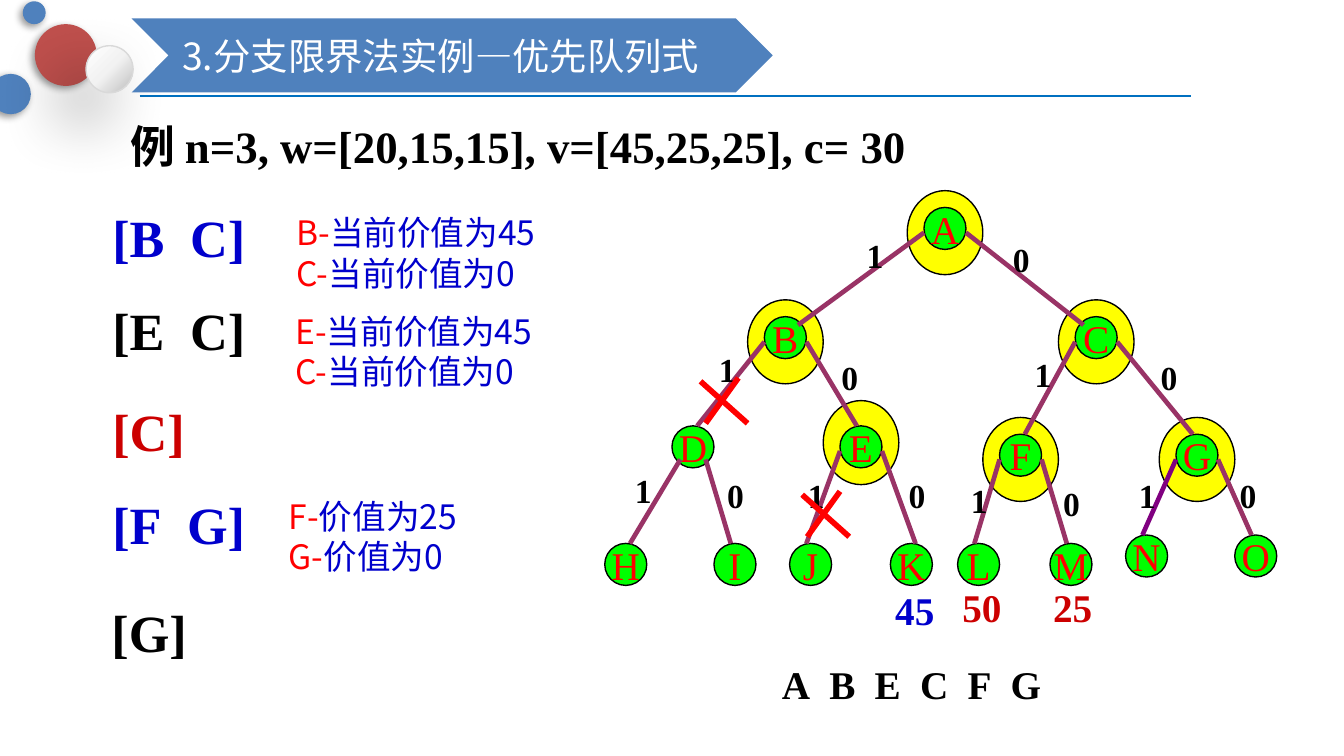
from typing import NamedTuple, Optional

from lxml import etree
from pptx import Presentation
from pptx.dml.color import RGBColor
from pptx.enum import shapes, text
from pptx.oxml import ns
from pptx import util as u

UNIT = 0.0625
LATIN = "Times New Roman"
HAN = "Noto Sans CJK SC"
BLACK = RGBColor(0x00, 0x00, 0x00)
WHITE = RGBColor(0xFF, 0xFF, 0xFF)
RED = RGBColor(0xFF, 0x00, 0x00)
CRIMSON = RGBColor(0xCC, 0x00, 0x00)
BRICK = RGBColor(0xC0, 0x50, 0x4D)
BLUE = RGBColor(0x00, 0x00, 0xCC)
STEEL = RGBColor(0x4F, 0x81, 0xBD)
RULE = RGBColor(0x00, 0x70, 0xC0)
GREEN = RGBColor(0x00, 0xFF, 0x00)
YELLOW = RGBColor(0xFF, 0xFF, 0x00)
PLUM = RGBColor(0x99, 0x33, 0x66)
PURPLE = RGBColor(0x80, 0x00, 0x80)
SILVER = RGBColor(0xD9, 0xD9, 0xD9)


class Node(NamedTuple):
    name: str
    col: float
    row: float
    halo: float = 0
    start: tuple = (0, 5, 3)


class Edge(NamedTuple):
    top: str
    end: str
    bit: int
    land: tuple
    tag: tuple
    color: RGBColor = PLUM


class Ball(NamedTuple):
    col: float
    row: float
    size: float
    fill: Optional[RGBColor]
    blur: float = 4
    dist: float = 2


class Note(NamedTuple):
    words: str
    col: float
    row: float
    wide: float
    size: float
    color: RGBColor


NODES = {n.name: n for n in (
    Node("A", 110, 24.7, 2), Node("B", 91, 37.7, 2), Node("C", 128, 37.7, 2),
    Node("D", 80, 50.7, start=(1, 4, 4)), Node("E", 100, 50.7, 3),
    Node("F", 119, 51.7, 2), Node("G", 140, 51.7, 2),
    Node("H", 72, 64.7), Node("I", 85, 64.7), Node("J", 94, 64.7),
    Node("K", 106, 64.7), Node("L", 114, 64.7), Node("M", 125, 64.7),
    Node("N", 134, 63.7), Node("O", 147, 63.7))}
EDGES = (
    Edge("A", "B", 1, (4, 1), (101.6, 27.2)),
    Edge("A", "C", 0, (1, 1), (119, 27.7)),
    Edge("B", "D", 1, (3, 0), (84, 40.7)),
    Edge("B", "E", 0, (2, 0), (98.6, 41.7)),
    Edge("C", "F", 1, (3, 0), (121.6, 41.3)),
    Edge("C", "G", 0, (2, 0), (136.6, 41.7)),
    Edge("D", "H", 1, (3, 0), (74, 55.2)),
    Edge("D", "I", 0, (2, 0), (85, 55.7)),
    Edge("E", "J", 1, (2, 0), (94.6, 55.7)),
    Edge("E", "K", 0, (3, 0), (106.6, 55.7)),
    Edge("F", "L", 1, (2, 0), (114, 56.3)),
    Edge("F", "M", 0, (2, 0), (125, 56.7)),
    Edge("G", "N", 1, (2, 0), (134, 55.7), PURPLE),
    Edge("G", "O", 0, (2, 0), (146, 55.7)))
BALLS = (Ball(4.16, 2.88, 7.36, BRICK), Ball(-1.12, 8.8, 4.8, STEEL),
         Ball(10.24, 5.44, 5.6, None, 35, 20), Ball(2.72, 0.16, 2.72, STEEL))
NOTES = (
    Note("[B C]", 11.8, 23.7, 19.6, 28, BLUE),
    Note("[E C]", 11.8, 34.7, 19.6, 28, BLACK),
    Note("[C]", 11.8, 46.7, 12, 28, CRIMSON),
    Note("[F G]", 11.8, 57.8, 19.6, 28, BLUE),
    Note("[G]", 11.7, 70.7, 12.3, 28, BLACK),
    Note("45", 105, 69, 8, 21, BLUE),
    Note("50", 113, 68.6, 8, 21, CRIMSON),
    Note("25", 123.8, 68.6, 8, 21, CRIMSON),
    Note("A B E C F G", 91.5, 77.8, 35, 21, BLACK))
VALUES = (
    (33.7, 24.5, (("B-", "当前价值为45"), ("C-", "当前价值为0"))),
    (33.6, 36.2, (("E-", "当前价值为45"), ("C-", "当前价值为0"))),
    (32.8, 58.2, (("F-", "价值为25"), ("G-", "价值为0"))))


def grid(n: float) -> int:
    return u.Inches(n * UNIT)


def add(parent, tag: str, **attrs):
    return etree.SubElement(parent, ns.qn(tag), attrs)


def write(para, words: str, *, size: float, color: RGBColor,
          font: str = LATIN, bold: bool = False, gap: float = 0) -> None:
    run = para.add_run()
    run.text = words
    run.font.size = u.Pt(size)
    run.font.bold = bold
    run.font.color.rgb = color
    run.font.name = font
    props = run.font._element
    add(props, "a:ea", typeface=font)
    if gap:
        props.set("spc", str(int(gap * 100)))


def box(page, col: float, row: float, wide: float, high: float,
        wrap: bool = False):
    frame = page.shapes.add_textbox(
        grid(col), grid(row), grid(wide), grid(high)).text_frame
    frame.word_wrap = wrap
    frame.auto_size = text.MSO_AUTO_SIZE.SHAPE_TO_FIT_TEXT
    return frame


def oval(page, col: float, row: float, wide: float, high: float,
         fill: Optional[RGBColor], edge: Optional[RGBColor] = BLACK):
    disc = page.shapes.add_shape(shapes.MSO_SHAPE.OVAL, grid(col), grid(row),
                                 grid(wide), grid(high))
    disc.shadow.inherit = False
    if fill is not None:
        disc.fill.solid()
        disc.fill.fore_color.rgb = fill
    if edge is None:
        disc.line.fill.background()
    else:
        disc.line.color.rgb = edge
        disc.line.width = u.Pt(0.75)
    return disc


def link(host, start: tuple, end: tuple, color: RGBColor, width: float) -> None:
    line = host.add_connector(shapes.MSO_CONNECTOR.STRAIGHT,
                              *(grid(n) for n in start + end))
    line.line.color.rgb = color
    line.line.width = u.Pt(width)
    add(line._element.spPr, "a:effectLst")


def draw_ball(page, ball: Ball) -> None:
    disc = oval(page, ball.col, ball.row, ball.size, ball.size, ball.fill,
                SILVER if ball.fill is None else None)
    props = disc._element.spPr
    if ball.fill is None:
        blend = etree.Element(ns.qn("a:gradFill"))
        stops = add(blend, "a:gsLst")
        for pos, tone in ((0, "FFFFFF"), (50, "F2F2F2"), (100, "BFBFBF")):
            add(add(stops, "a:gs", pos=str(pos * 1000)), "a:srgbClr", val=tone)
        add(blend, "a:lin", ang=str(45 * 60000), scaled="0")
        props.insert(2, blend)
    cast = add(props.find(ns.qn("a:effectLst")), "a:outerShdw",
               blurRad=str(u.Pt(ball.blur)), dist=str(u.Pt(ball.dist)),
               dir=str(135 * 60000), algn="ctr", rotWithShape="0")
    add(add(cast, "a:srgbClr", val="000000"), "a:alpha", val="40000")


def draw_node(page, node: Node) -> None:
    frame = oval(page, node.col, node.row, 5, 5, GREEN).text_frame
    frame.word_wrap = False
    frame.vertical_anchor = text.MSO_ANCHOR.MIDDLE
    para = frame.paragraphs[0]
    para.alignment = text.PP_ALIGN.CENTER
    write(para, node.name, size=21, color=RED)


def draw_edge(page, edge: Edge) -> None:
    top, end = NODES[edge.top], NODES[edge.end]
    left, right, drop = top.start
    side = left if edge.bit else right
    link(page.shapes, (top.col + side, top.row + drop),
         (end.col + edge.land[0], end.row + edge.land[1]), edge.color, 2.5)


def draw_note(page, note: Note) -> None:
    para = box(page, note.col, note.row, note.wide,
               9.1 if note.size == 28 else 7.2).paragraphs[0]
    style = dict(size=note.size, color=note.color, bold=True)
    for i, word in enumerate(note.words.split(" ")):
        if i:
            write(para, " ", gap=note.size * 0.24, **style)
        write(para, word, **style)


def draw_title(page, words: str) -> None:
    arrow = page.shapes.add_shape(shapes.MSO_SHAPE.CHEVRON, grid(15.68),
                                  grid(2.2), grid(76.32), grid(8.8))
    arrow.shadow.inherit = False
    arrow.fill.solid()
    arrow.fill.fore_color.rgb = STEEL
    arrow.line.fill.background()
    title = page.shapes.title
    title.left, title.top = grid(20.08), grid(2.2)
    title.width, title.height = grid(67.52), grid(8.8)
    arrow._element.addnext(title._element)
    frame = title.text_frame
    frame.auto_size = text.MSO_AUTO_SIZE.NONE
    frame.vertical_anchor = text.MSO_ANCHOR.MIDDLE
    para = frame.paragraphs[0]
    para.alignment = text.PP_ALIGN.LEFT
    write(para, words, size=20, color=WHITE, font=HAN)


def main() -> None:
    deck = Presentation()
    deck.slide_width, deck.slide_height = grid(160), grid(90)
    page = deck.slides.add_slide(deck.slide_layouts[5])
    link(page.shapes, (16.64, 11.45), (141.76, 11.45), RULE, 1.25)
    for ball in BALLS:
        draw_ball(page, ball)
    for node in NODES.values():
        if node.halo:
            oval(page, node.col - 2, node.row - node.halo, 9, 10, YELLOW)
    for node in NODES.values():
        draw_node(page, node)
    for edge in EDGES:
        draw_edge(page, edge)
    for edge in EDGES:
        write(box(page, *edge.tag, 5.2, 6.4).paragraphs[0], str(edge.bit),
              size=18, color=BLACK, bold=True)
    for note in NOTES:
        draw_note(page, note)
    para = box(page, 13.9, 13.4, 100.2, 8).paragraphs[0]
    write(para, "例 ", size=24, color=BLACK, font=HAN, bold=True)
    write(para, "n=3, w=[20,15,15], v=[45,25,25], c= 30",
          size=24, color=BLACK, bold=True)
    for col, row, lines in VALUES:
        frame = box(page, col, row, 52.2, 11.4, wrap=True)
        for i, (name, worth) in enumerate(lines):
            para = frame.add_paragraph() if i else frame.paragraphs[0]
            write(para, name, size=18, color=RED, font=HAN)
            write(para, worth, size=18, color=BLUE, font=HAN)
    draw_title(page, "3.分支限界法实例—优先队列式")
    for col, row in ((83.4, 45), (95.5, 58.5)):
        cross = page.shapes.add_group_shape().shapes
        link(cross, (col, row + 0.4), (col + 5.6, row + 5.4), RED, 3)
        link(cross, (col + 4.5, row), (col + 0.6, row + 5.4), RED, 3)
    deck.save("out.pptx")


if __name__ == "__main__":
    main()
